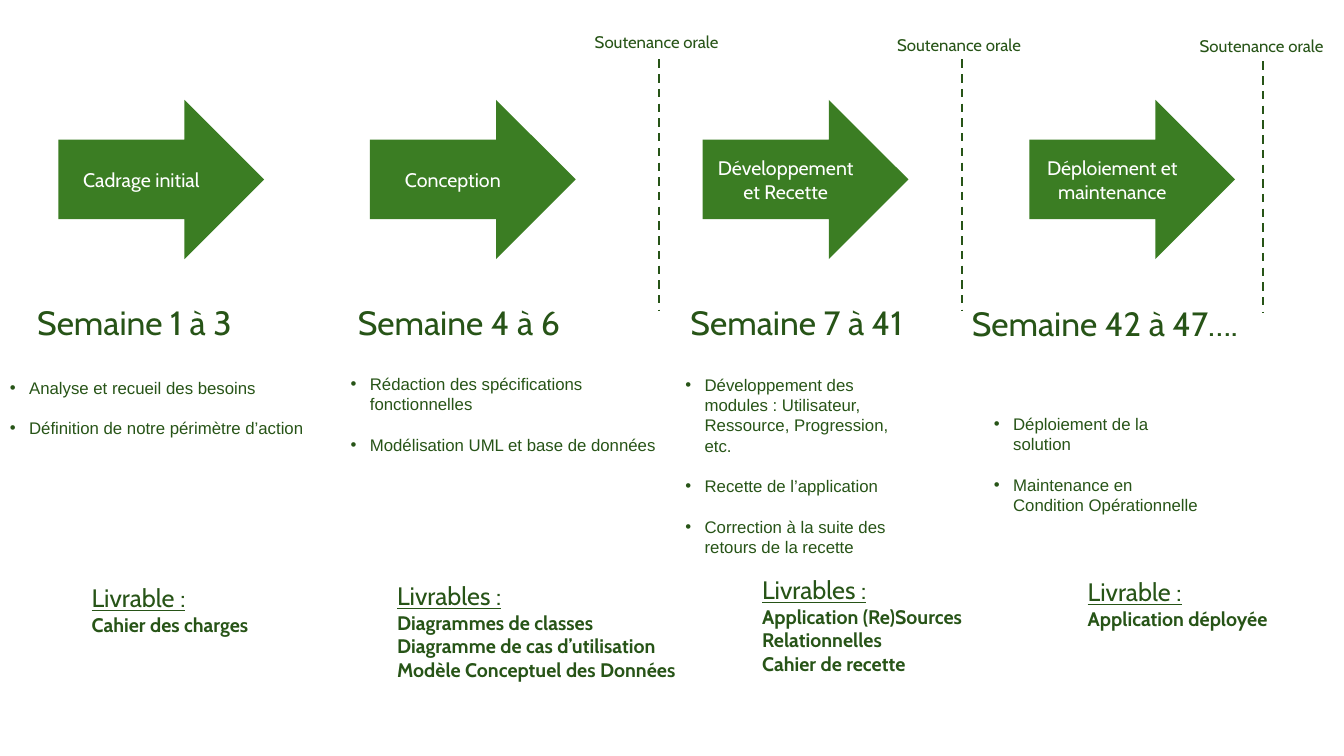
from lxml import etree
from pptx import Presentation
from pptx import util as u
from pptx.dml.color import RGBColor
from pptx.enum import dml, shapes, text
from pptx.oxml.ns import qn

GREEN, DARK, WHITE = "3B7D23", "275417", "FFFFFF"
TEXT_INDENT = u.Inches(0.19)
BULLET_LINE = u.Pt(14.5)

PHASES = [
    {
        "arrow": (0.58, "Cadrage initial"),
        "weeks": (0.27, 2.95, 2.22, "Semaine 1 à 3"),
        "tasks": (0, 3.69, 3.12, 0.71,
                  ["Analyse et recueil des besoins",
                   "Définition de notre périmètre d’action"]),
        "outputs": (0.81, 5.73, 1.91, 0.64, "Livrable :", ["Cahier des charges"]),
    },
    {
        "arrow": (3.67, "Conception"),
        "weeks": (3.45, 2.95, 2.22, "Semaine 4 à 6"),
        "tasks": (3.38, 3.65, 3.25, 0.91,
                  ["Rédaction des spécifications fonctionnelles",
                   "Modélisation UML et base de données"]),
        "outputs": (3.84, 5.71, 3.16, 1.41, "Livrables :",
                    ["Diagrammes de classes",
                     "Diagramme de cas d’utilisation",
                     "Modèle Conceptuel des Données"]),
    },
    {
        "arrow": (6.97, "Développement et Recette"),
        "weeks": (6.75, 2.95, 2.41, "Semaine 7 à 41"),
        "tasks": (6.7, 3.66, 2.29, 1.92,
                  ["Développement des modules : Utilisateur, Ressource, Progression, etc.",
                   "Recette de l’application",
                   "Correction à la suite des retours de la recette"]),
        "outputs": (7.46, 5.65, 2.39, 1.11, "Livrables :",
                    ["Application (Re)Sources", "Relationnelles", "Cahier de recette"]),
    },
    {
        "arrow": (10.21, "Déploiement et maintenance"),
        "weeks": (9.54, 2.96, 2.96, "Semaine 42 à 47…."),
        "tasks": (9.76, 4.05, 2.29, 1.11,
                  ["Déploiement de la solution",
                   "Maintenance en Condition Opérationnelle"]),
        "outputs": (10.69, 5.67, 2.13, 0.64, "Livrable :", ["Application déployée"]),
    },
]

DEFENCES = [(5.8, 0.27, 6.54, 0.59), (8.8, 0.3, 9.54, 0.59), (11.8, 0.31, 12.53, 0.61)]


def rgb(value):
    return RGBColor.from_string(value)


def add_run(p, words, size, color=DARK, font="Cabin", bold=None, underline=None):
    r = p.add_run()
    r.text = words
    r.font.size = u.Pt(size)
    r.font.name = font
    r.font.color.rgb = rgb(color)
    r.font.bold = bold
    r.font.underline = underline


def add_box(s, x, y, w, h, wrap=False):
    tf = s.shapes.add_textbox(*map(u.Inches, (x, y, w, h))).text_frame
    tf.word_wrap = wrap
    tf.auto_size = text.MSO_AUTO_SIZE.SHAPE_TO_FIT_TEXT
    return tf


def add_label(s, x, y, w, h, words, size):
    add_run(add_box(s, x, y, w, h).paragraphs[0], words, size)


def add_arrow(s, x, words):
    sp = s.shapes.add_shape(shapes.MSO_SHAPE.RIGHT_ARROW,
                            *map(u.Inches, (x, 0.99, 2.04, 1.58)))
    sp.shadow.inherit = False
    sp.fill.solid()
    sp.fill.fore_color.rgb = rgb(GREEN)
    sp.line.fill.background()
    tf = sp.text_frame
    tf.word_wrap = True
    tf.vertical_anchor = text.MSO_ANCHOR.MIDDLE
    p = tf.paragraphs[0]
    p.alignment = text.PP_ALIGN.CENTER
    add_run(p, words, 14, WHITE)


def add_bullets(s, x, y, w, h, items):
    tf = add_box(s, x, y, w, h, wrap=True)
    tf.vertical_anchor = text.MSO_ANCHOR.MIDDLE
    for i, item in enumerate(items):
        p = tf.add_paragraph() if i else tf.paragraphs[0]
        pPr = p._p.get_or_add_pPr()
        pPr.set("marL", str(TEXT_INDENT))
        pPr.set("indent", str(-TEXT_INDENT))
        etree.SubElement(pPr, qn("a:buFont")).set("typeface", "Arial")
        etree.SubElement(pPr, qn("a:buChar")).set("char", "•")
        p.line_spacing = BULLET_LINE
        if i:
            p.space_before = BULLET_LINE
        add_run(p, item, 12, font="Arial")


def add_outputs(s, x, y, w, h, heading, items):
    tf = add_box(s, x, y, w, h)
    add_run(tf.paragraphs[0], heading, 18, underline=True)
    for item in items:
        add_run(tf.add_paragraph(), item, 14, bold=True)


def add_dashed_line(s, x, y):
    line = s.shapes.add_connector(shapes.MSO_CONNECTOR.STRAIGHT,
                                  *map(u.Inches, (x, y, x, y + 2.5)))
    line.line.color.rgb = rgb(DARK)
    line.line.width = u.Pt(1.5)
    line.line.dash_style = dml.MSO_LINE.DASH
    etree.SubElement(line._element.spPr, qn("a:effectLst"))


def main():
    prs = Presentation()
    prs.slide_width, prs.slide_height = u.Inches(13.33), u.Inches(7.5)
    s = prs.slides.add_slide(prs.slide_layouts[6])
    for phase in PHASES:
        add_arrow(s, *phase["arrow"])
        x, y, w, words = phase["weeks"]
        add_label(s, x, y, w, 0.5, words, 24)
        add_bullets(s, *phase["tasks"])
        add_outputs(s, *phase["outputs"])
    for label_x, label_y, line_x, line_y in DEFENCES:
        add_label(s, label_x, label_y, 1.48, 0.3, "Soutenance orale", 12)
        add_dashed_line(s, line_x, line_y)
    prs.save("out.pptx")


if __name__ == "__main__":
    main()
